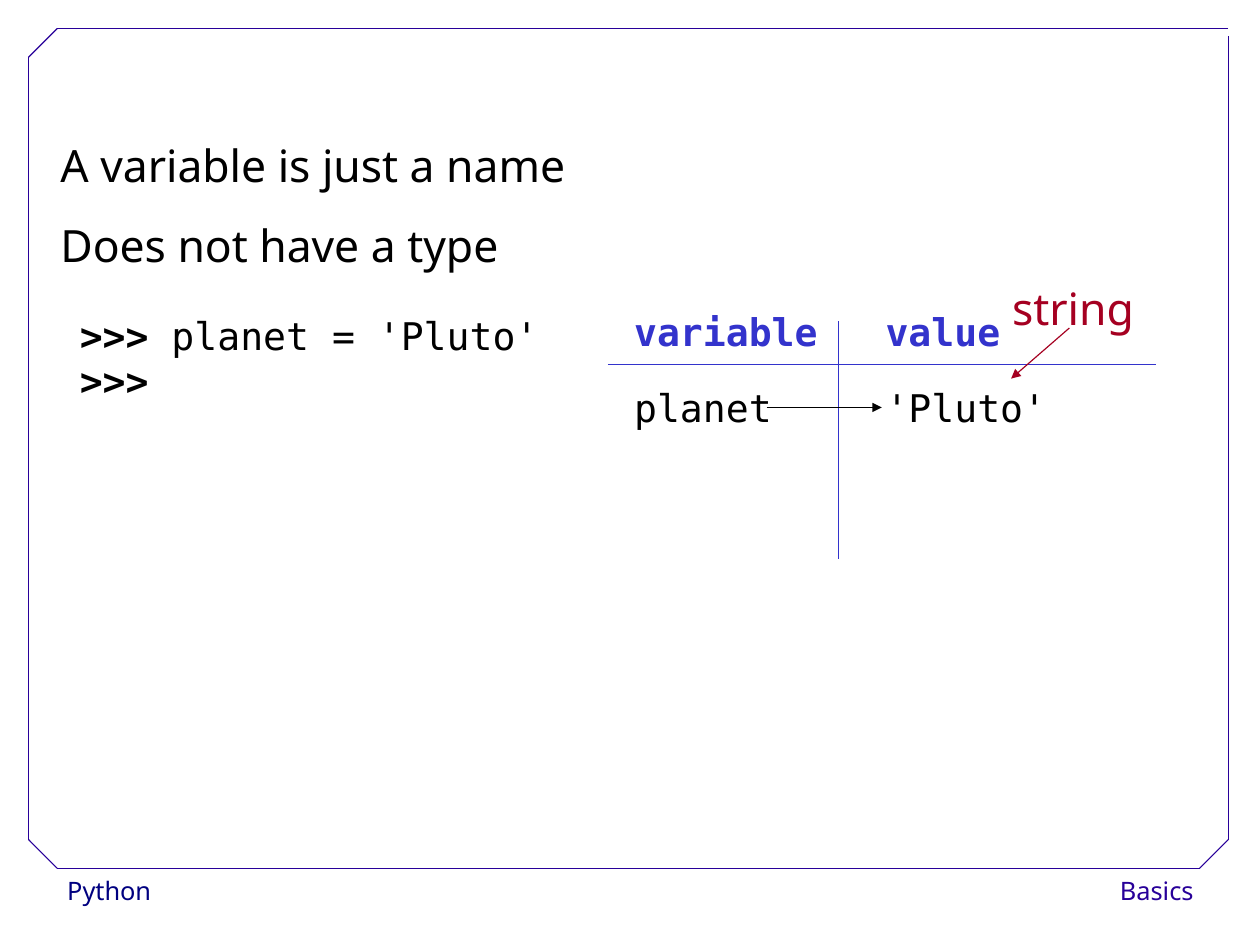
from lxml import etree
from pptx import Presentation
from pptx.dml.color import RGBColor
from pptx.enum.shapes import MSO_CONNECTOR
from pptx.enum.text import PP_ALIGN
from pptx.oxml.ns import qn
from pptx.util import Pt

STRAIGHT = MSO_CONNECTOR.STRAIGHT
LEFT, RIGHT = PP_ALIGN.LEFT, PP_ALIGN.RIGHT

BLACK = RGBColor(0x00, 0x00, 0x00)
NAVY = RGBColor(0x00, 0x00, 0x80)
VIOLET = RGBColor(0x28, 0x00, 0x99)
BLUE = RGBColor(0x33, 0x33, 0xCC)
CRIMSON = RGBColor(0xA5, 0x00, 0x21)

SANS, MONO = "Noto Sans", "DejaVu Sans Mono"
BODY = {"name": SANS, "size": Pt(28)}
CODE = {"name": MONO, "size": Pt(24)}
PROMPT = CODE | {"bold": True}
FOOTER = {"name": SANS, "size": Pt(16)}


class SlideBuilder:
    """Hold the line style and the current slide, and add elements to it."""

    line_width = Pt(0.74)

    def __init__(self, slide):
        """Start building on the given slide."""
        self.slide = slide

    def text(self, frame, paragraphs, color=BLACK, spacing=1.0, align=LEFT):
        """Add a text box; each paragraph is a list of (text, format) spans."""
        box = self.slide.shapes.add_textbox(*map(Pt, frame))
        text_frame = box.text_frame
        text_frame.word_wrap = True
        for index, spans in enumerate(paragraphs):
            para = text_frame.add_paragraph() if index else text_frame.paragraphs[0]
            para.line_spacing = spacing
            para.alignment = align
            for content, style in spans:
                span = para.add_run()
                span.text = content
                span.font.color.rgb = color
                for key, value in style.items():
                    setattr(span.font, key, value)

    def line(self, start, end, color, arrow=False):
        """Add a straight line, with an arrowhead at its end if asked."""
        line = self.slide.shapes.add_connector(STRAIGHT, *map(Pt, start + end))
        line.line.width = self.line_width
        line.line.color.rgb = color
        if arrow:
            outline = line.line._get_or_add_ln()
            etree.SubElement(outline, qn("a:tailEnd"), type="triangle")
        properties = line._element.spPr
        etree.SubElement(properties, qn("a:effectLst"))


def add_frame(builder):
    """Draw the border with its three cut corners and the open top right one."""
    left, right, top, bottom, cut, gap = 18, 773.75, 18, 546.9, 18, 5
    corners = [
        (right, top),
        (left + cut, top),
        (left, top + cut),
        (left, bottom - cut),
        (left + cut, bottom),
        (right - cut, bottom),
        (right, bottom - cut),
        (right, top + gap),
    ]
    for start, end in zip(corners, corners[1:]):
        builder.line(start, end, VIOLET)


def add_variable_table(builder):
    """Draw the ruled variable and value columns with the arrow between them."""
    columns = [(392.4, "variable", "planet"), (550.8, "value", "'Pluto'")]
    for left, heading, entry in columns:
        builder.text((left, 193.4, 137, 36), [[(heading, PROMPT)]], BLUE, 0.93)
        builder.text((left, 238.5, 137, 150), [[(entry, CODE)]])
    builder.line((383, 229.4), (728, 229.4), BLUE)
    builder.line((528.2, 202.3), (528.2, 352), BLUE)
    builder.line((483, 256.7), (555.5, 256.7), BLACK, arrow=True)


def main():
    """Build the slide and save the deck."""
    deck = Presentation()
    deck.slide_width, deck.slide_height = Pt(793.75), Pt(595.25)
    page = deck.slides.add_slide(deck.slide_layouts[6])
    builder = SlideBuilder(page)

    builder.text((35.3, 547.2, 155, 29), [[("Python", FOOTER)]], NAVY, 1.02)
    builder.text((658, 547.2, 101, 29), [[("Basics", FOOTER)]], VIOLET, 1.02, RIGHT)
    add_frame(builder)

    statements = ["A variable is just a name", "Does not have a type"]
    builder.text((31, 66.4, 404, 108), [[(line, BODY)] for line in statements],
                 spacing=1.5)
    builder.text((43.2, 193, 330, 231),
                 [[(">>>", PROMPT), (" planet = 'Pluto'", CODE)], [(">>>", PROMPT)]])

    add_variable_table(builder)
    builder.text((630.5, 157, 162, 58), [[("string", BODY)]], CRIMSON, 1.5)
    builder.line((673.7, 206.6), (637, 238.5), CRIMSON, arrow=True)
    deck.save("out.pptx")


main()
